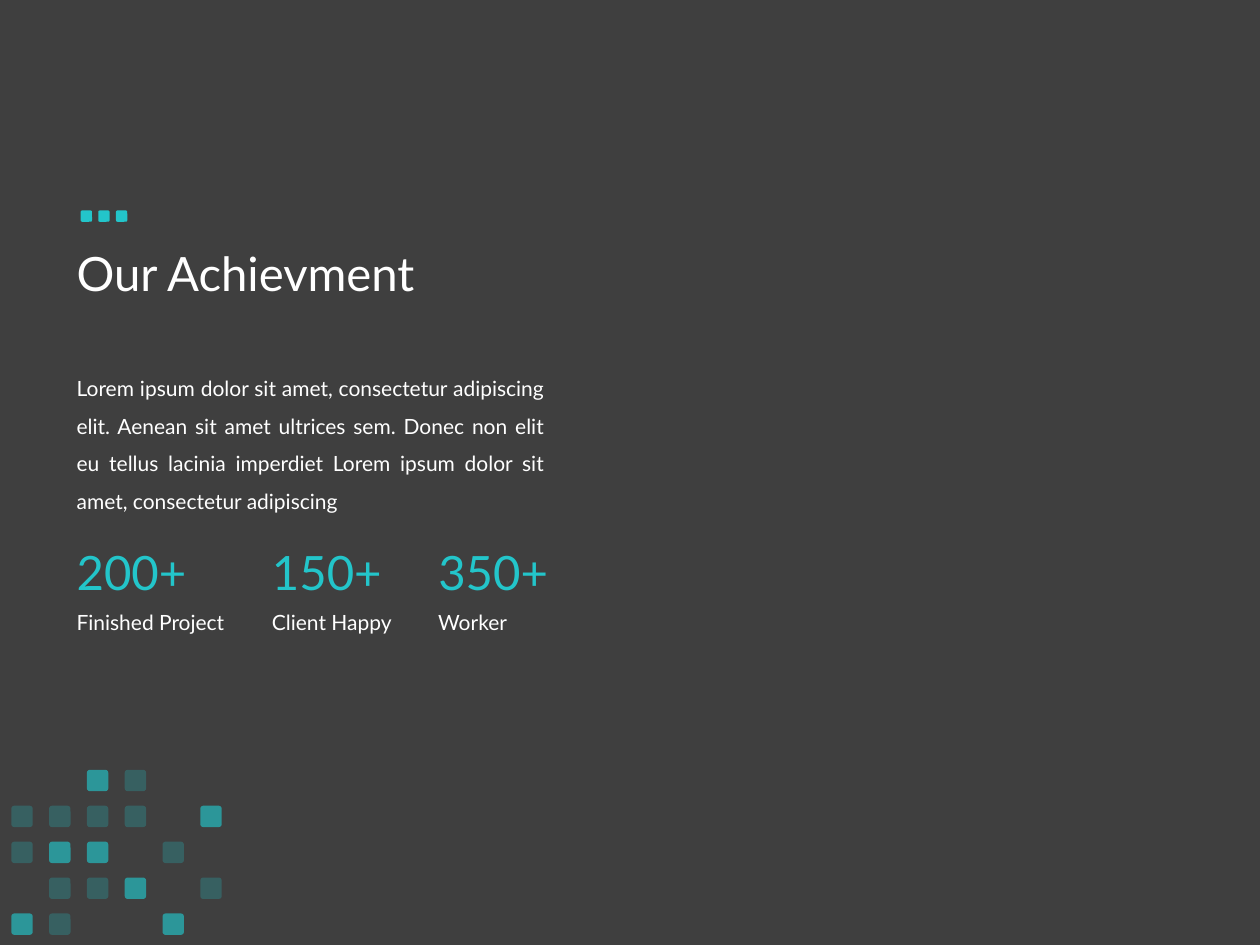
import lxml.etree
import pptx
import pptx.dml.color
import pptx.enum.shapes
import pptx.enum.text
import pptx.oxml.ns
import pptx.util

COLORS = {"background": "3F3F3F", "accent": "23C5CA", "text": "FFFFFF"}
FONT = "Lato"
WIDTH, HEIGHT = 10, 7.5
LEFT = 0.51

BODY = (
    "Lorem ipsum dolor sit amet, consectetur adipiscing elit. Aenean sit amet "
    "ultrices sem. Donec non elit eu tellus lacinia imperdiet Lorem ipsum dolor "
    "sit amet, consectetur adipiscing"
)
STATISTICS = [
    (LEFT, "200+", "Finished Project"),
    (2.06, "150+", "Client Happy"),
    (3.38, "350+", "Worker"),
]

# Mosaic: S is a strong tile, f a faint one; opacity in percent
MOSAIC = ["..Sf..", "ffff.S", "fSS.f.", ".ffS.f", "Sf..S."]
OPACITY = {"S": 65, "f": 25}
COLUMN_STEP = 0.3
ROW_STEP = (7.25 - 6.11) / (len(MOSAIC) - 1)


def color(name):
    return pptx.dml.color.RGBColor.from_string(COLORS[name])


def inches(*values):
    return [pptx.util.Inches(value) for value in values]


def add_text(slide, box, text, size, color_name="text", spacing=None,
             alignment=pptx.enum.text.PP_ALIGN.LEFT,
             anchor=pptx.enum.text.MSO_ANCHOR.TOP):
    frame = slide.shapes.add_textbox(*inches(*box)).text_frame
    frame.word_wrap = True
    frame.vertical_anchor = anchor
    paragraph = frame.paragraphs[0]
    paragraph.text = text
    paragraph.alignment = alignment
    paragraph.line_spacing = spacing
    paragraph.font.name = FONT
    paragraph.font.size = pptx.util.Pt(size)
    paragraph.font.color.rgb = color(color_name)


def add_tile(shapes, left, top, side, opacity=100):
    tile = shapes.add_shape(
        pptx.enum.shapes.MSO_SHAPE.ROUNDED_RECTANGLE,
        *inches(left, top, side, side))
    tile.adjustments[0] = 0.14
    tile.shadow.inherit = False
    tile.line.fill.background()
    tile.fill.solid()
    tile.fill.fore_color.rgb = color("accent")
    if opacity < 100:
        qualified = pptx.oxml.ns.qn
        fill_color = tile.fill._xPr.find(
            f"{qualified('a:solidFill')}/{qualified('a:srgbClr')}")
        lxml.etree.SubElement(
            fill_color, qualified("a:alpha"), val=str(opacity * 1000))


def add_statistic(slide, left, number, label):
    add_text(slide, (left, 4.26, 1.19, 0.56), number, 27, "accent")
    add_text(slide, (left, 4.79, 1.76, 0.3), label, 12)


def add_mosaic(slide):
    group = slide.shapes.add_group_shape()
    for row, marks in enumerate(MOSAIC):
        for column, mark in enumerate(marks):
            if mark in OPACITY:
                add_tile(group.shapes, 0.09 + column * COLUMN_STEP,
                         6.11 + row * ROW_STEP, 0.17, OPACITY[mark])


def add_title_dots(slide):
    group = slide.shapes.add_group_shape()
    for index in range(3):
        add_tile(group.shapes, 0.64 + index * 0.14, 1.67, 0.09)


def main():
    presentation = pptx.Presentation()
    presentation.slide_width, presentation.slide_height = inches(WIDTH, HEIGHT)
    slide = presentation.slides.add_slide(presentation.slide_layouts[6])
    slide.background.fill.solid()
    slide.background.fill.fore_color.rgb = color("background")

    # Title and body
    add_text(slide, (LEFT, 1.47, 8.62, 1.45), "Our Achievment", 27,
             spacing=0.9, anchor=pptx.enum.text.MSO_ANCHOR.MIDDLE)
    add_text(slide, (LEFT, 2.83, 3.91, 1.27), BODY, 12, spacing=1.5,
             alignment=pptx.enum.text.PP_ALIGN.JUSTIFY)

    # Key figures
    for left, number, label in STATISTICS:
        add_statistic(slide, left, number, label)

    # Decoration
    add_mosaic(slide)
    add_title_dots(slide)

    presentation.save("out.pptx")


if __name__ == "__main__":
    main()
